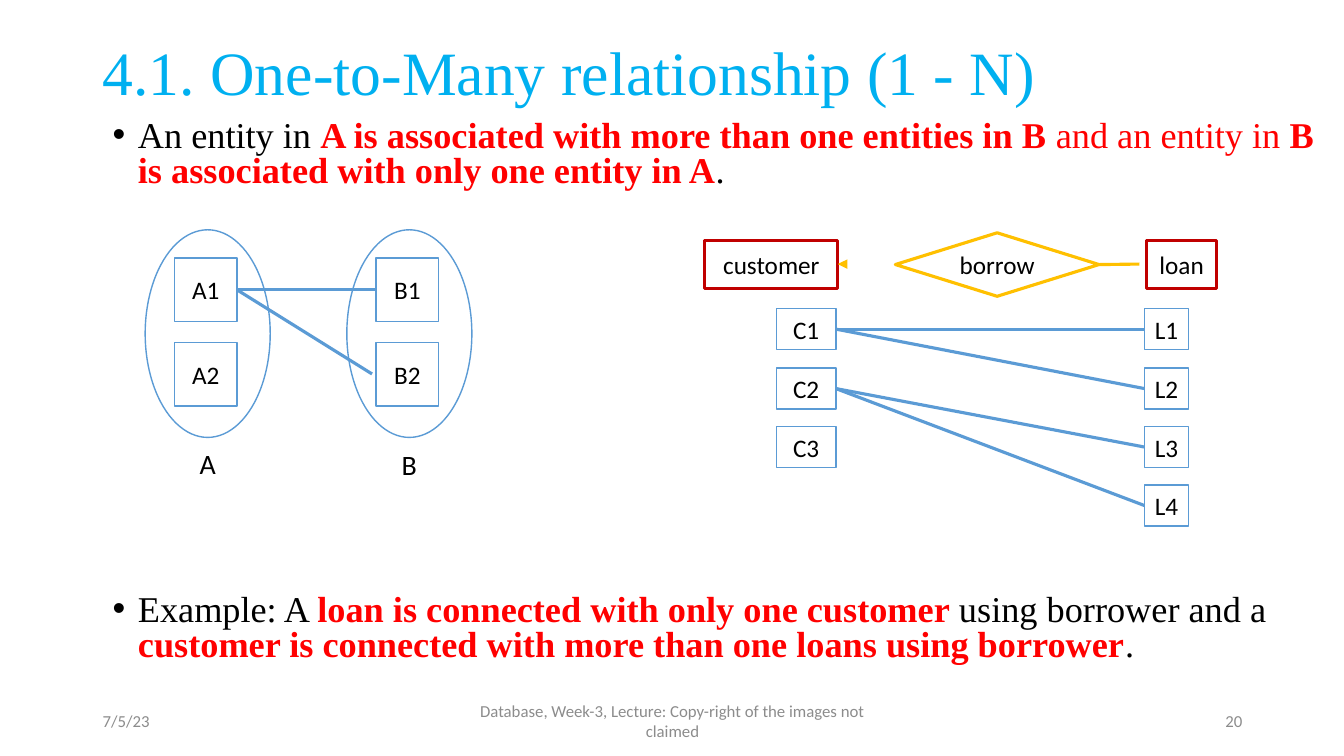
import pptx
import pptx.util
import pptx.dml.color
import pptx.enum.shapes
import pptx.enum.text
import pptx.oxml
import pptx.oxml.ns

Inches = pptx.util.Inches
Pt = pptx.util.Pt
MSO = pptx.enum.shapes.MSO_SHAPE
ALIGN = pptx.enum.text.PP_ALIGN
ANCHOR = pptx.enum.text.MSO_ANCHOR

COLORS = {
    "title": "00B0F0", "text": "000000", "key": "FF0000", "footer": "8C8C8C",
    "node": "5B9BD5", "entity": "C00000", "relation": "FFC000", "white": "FFFFFF",
}
SERIF = "Times New Roman"
SANS = "Calibri"


def rgb(name):
    return pptx.dml.color.RGBColor.from_string(COLORS[name])


def style(font, name, size, color, bold=False):
    font.name = name
    font.size = Pt(size)
    font.bold = bold
    font.color.rgb = rgb(color)


def add_element(parent, xml):
    ns = pptx.oxml.ns.nsdecls("a")
    tag, _, attrs = xml.partition(" ")
    parent.append(pptx.oxml.parse_xml(f"<a:{tag} {ns} {attrs}/>"))


def add_text(slide, box, text, size, color="text", font=SANS,
             align=ALIGN.LEFT, anchor=ANCHOR.MIDDLE):
    tf = slide.shapes.add_textbox(*map(Inches, box)).text_frame
    tf.word_wrap = True
    tf.vertical_anchor = anchor
    p = tf.paragraphs[0]
    p.text = text
    p.alignment = align
    for r in p.runs:
        style(r.font, font, size, color)
    return p


def add_bullet(slide, box, parts):
    p = add_text(slide, box, "", 25.9, anchor=ANCHOR.TOP)
    p.line_spacing = 0.8
    pPr = p._p.get_or_add_pPr()
    pPr.set("marL", str(Inches(0.25)))
    pPr.set("indent", str(-Inches(0.25)))
    add_element(pPr, 'buFont typeface="Arial"')
    add_element(pPr, 'buChar char="•"')
    for text, color, bold in parts:
        r = p.add_run()
        r.text = text
        style(r.font, SERIF, 25.9, color, bold)


def add_node(slide, box, text="", kind=MSO.RECTANGLE, line="node", width=1, filled=True):
    sp = slide.shapes.add_shape(kind, *map(Inches, box))
    sp.shadow.inherit = False
    if filled:
        sp.fill.solid()
        sp.fill.fore_color.rgb = rgb("white")
    else:
        sp.fill.background()
    sp.line.color.rgb = rgb(line)
    sp.line.width = Pt(width)
    tf = sp.text_frame
    tf.margin_left = tf.margin_right = 0
    tf.vertical_anchor = ANCHOR.MIDDLE
    if text:
        p = tf.paragraphs[0]
        p.text = text
        p.alignment = ALIGN.CENTER
        style(p.runs[0].font, SANS, 18, "text")
    return sp


def add_link(slide, start, end, color="node", source=None, target=None, arrow=False):
    cn = slide.shapes.add_connector(
        pptx.enum.shapes.MSO_CONNECTOR.STRAIGHT, *map(Inches, start + end))
    cn.line.color.rgb = rgb(color)
    cn.line.width = Pt(2.25)
    if arrow:
        add_element(cn.line._get_or_add_ln(), 'tailEnd type="triangle"')
    add_element(cn._element.spPr, "effectLst")
    if source is not None:
        cn.begin_connect(source, 3)
    if target is not None:
        cn.end_connect(target, 1)


def add_sets(slide, x, y):
    nodes = {}
    for i, name in enumerate("AB"):
        left = x + 2 * i
        add_node(slide, (left, y, 1.24, 2.06), kind=MSO.OVAL)
        for j in range(2):
            label = f"{name}{j + 1}"
            nodes[label] = add_node(
                slide, (left + 0.29, y + 0.28 + 0.84 * j, 0.62, 0.63), label)
        add_text(slide, (left, y + 2.1 + 0.01 * i, 1.24, 0.44), name, 20,
                 align=ALIGN.CENTER, anchor=ANCHOR.TOP)
    start = (x + 0.91, y + 0.6)
    add_link(slide, start, (x + 2.29, y + 0.6), source=nodes["A1"], target=nodes["B1"])
    add_link(slide, start, (x + 2.25, y + 1.43), source=nodes["A1"])


def add_er_diagram(slide, x, y):
    entity = dict(line="entity", width=2.25, filled=False)
    add_node(slide, (x, y + 0.08, 1.32, 0.47), "customer", **entity)
    add_node(slide, (x + 4.38, y + 0.08, 0.7, 0.47), "loan", **entity)
    borrow = add_node(slide, (x + 1.89, y, 2.02, 0.63), "borrow", MSO.DIAMOND,
                      "relation", 2.25, False)
    mid = y + 0.31
    add_link(slide, (x + 1.33, mid), (x + 1.32, mid), "relation", arrow=True)
    add_link(slide, (x + 3.91, mid), (x + 4.31, mid), "relation", source=borrow)


def add_instances(slide, x, y):
    nodes = {}
    for name, count, left, width in (("C", 3, x, 0.59), ("L", 4, x + 3.65, 0.44)):
        for i in range(count):
            label = f"{name}{i + 1}"
            nodes[label] = add_node(
                slide, (left, round(y + 0.585 * i, 2), width, 0.41), label)
    for c, l in (("C1", "L1"), ("C1", "L2"), ("C2", "L3"), ("C2", "L4")):
        add_link(slide, (x, y), (x + 3.65, y), source=nodes[c], target=nodes[l])


def add_footer(slide, y):
    for x, width, text, align in (
        (0.92, 3, "7/5/23", ALIGN.LEFT),
        (4.42, 4.5, "Database, Week-3, Lecture: Copy-right of the images not claimed",
         ALIGN.CENTER),
        (9.42, 3, "20", ALIGN.RIGHT),
    ):
        add_text(slide, (x, y, width, 0.4), text, 12, "footer", align=align)


def main():
    prs = pptx.Presentation()
    prs.slide_width = Inches(13.33)
    prs.slide_height = Inches(7.5)
    slide = prs.slides.add_slide(prs.slide_layouts[6])
    title = add_text(slide, (0.92, 0.02, 11.5, 1.45),
                     "4.1. One-to-Many relationship (1 - N)", 44, "title", SERIF)
    title.line_spacing = 0.9
    add_bullet(slide, (1.02, 1.15, 12.17, 0.8), (
        ("An entity in ", "text", False),
        ("A is associated with more than one entities in B ", "key", True),
        ("and an entity in ", "key", False),
        ("B is associated with only one entity in A", "key", True),
        (".", "text", False),
    ))
    add_bullet(slide, (1.02, 5.85, 12.17, 0.8), (
        ("Example: A ", "text", False),
        ("loan is connected with only one customer ", "key", True),
        ("using borrower and a ", "text", False),
        ("customer is connected with more than one loans using borrower", "key", True),
        (".", "text", False),
    ))
    add_sets(slide, 1.44, 2.28)
    add_er_diagram(slide, 6.99, 2.31)
    add_instances(slide, 7.7, 3.06)
    add_footer(slide, 6.95)
    prs.save("out.pptx")


if __name__ == "__main__":
    main()
